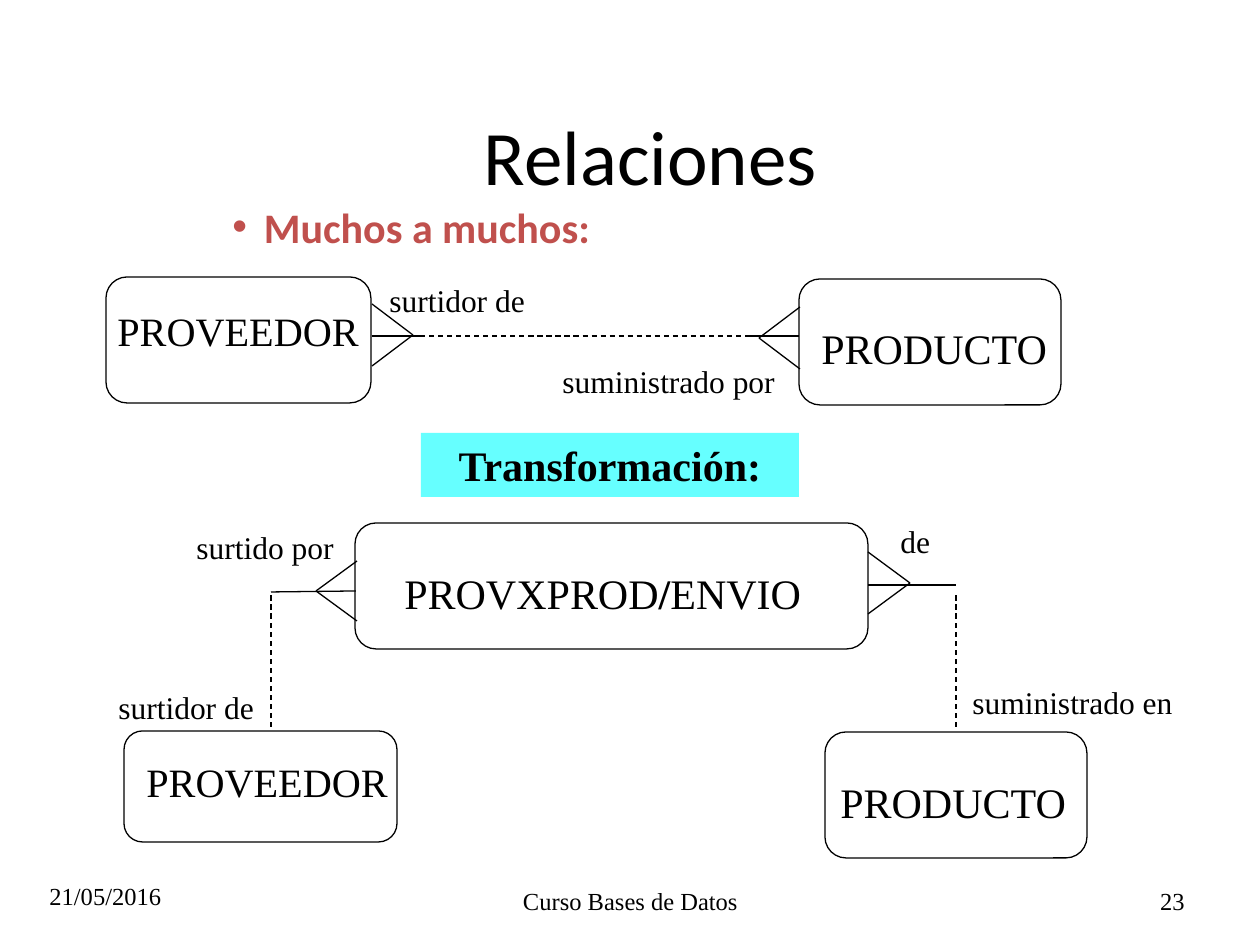
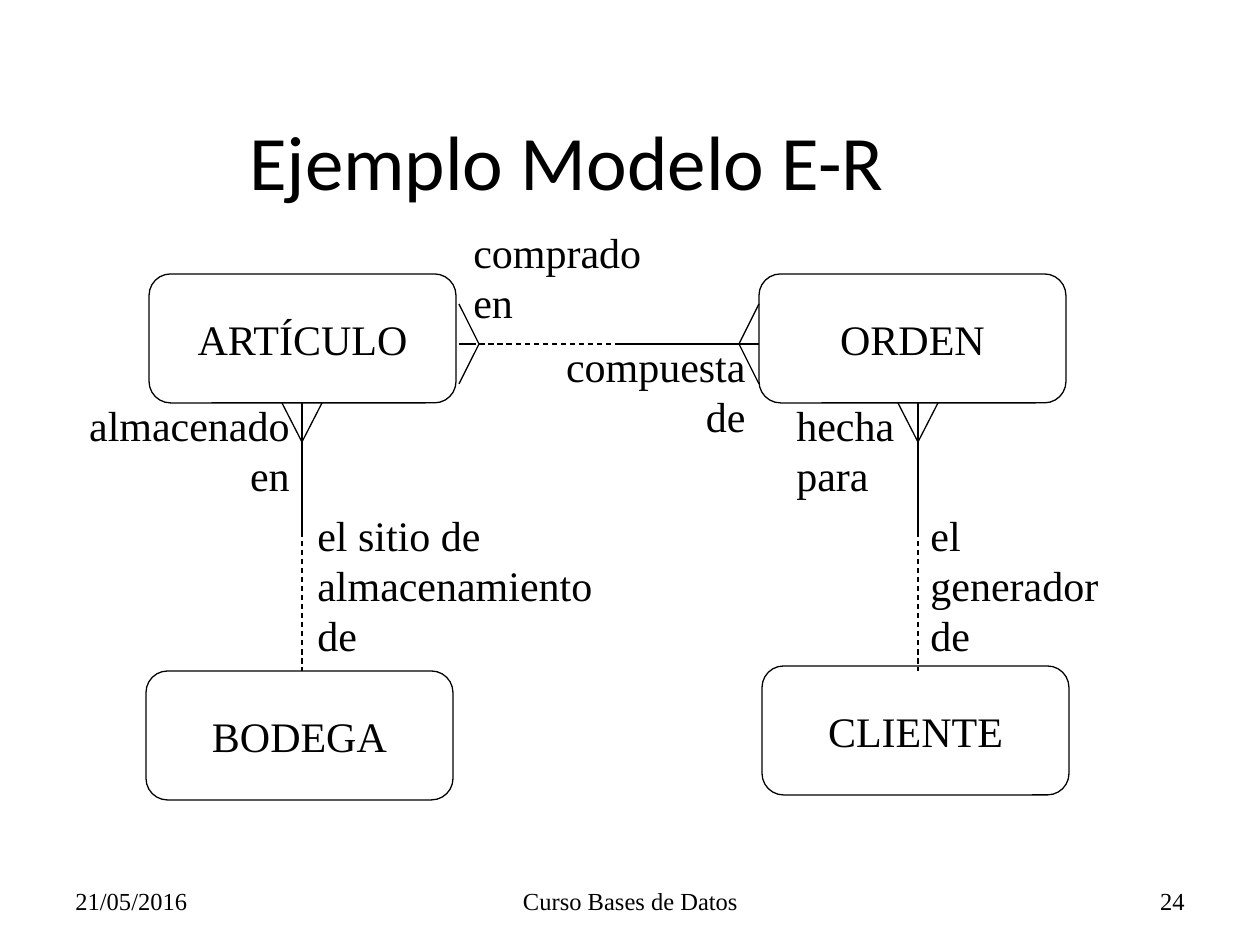
from dataclasses import dataclass
from lxml import etree
from pptx import Presentation, util as u
from pptx.dml import color as dml_color
from pptx.enum import dml, shapes, text as t
from pptx.oxml import ns

PIXEL = u.Inches(1) / 126


@dataclass(frozen=True)
class Theme:
    ink: str = "000000"
    accent: str = "C0504D"
    banner: str = "66FFFF"
    heading_font: str = "Calibri"
    body_font: str = "Times New Roman"
    title: float = 44
    large: float = 24
    tight: float = 23
    label: float = 18
    footer: float = 14
    line: float = 0.75
    corner: float = 0.167


THEME = Theme()
LEFT, CENTER, RIGHT = t.PP_ALIGN.LEFT, t.PP_ALIGN.CENTER, t.PP_ALIGN.RIGHT
TOP, MIDDLE = t.MSO_ANCHOR.TOP, t.MSO_ANCHOR.MIDDLE

# Content: boxes are (left, top, width, height), lines are (x1, y1, x2, y2).
# Crow's feet are (apex x, apex y, offset x, offset y, entity side).
DATE, COURSE = "21/05/2016", "Curso Bases de Datos"

RELATIONS = {
    "title": ("Relaciones", (115, 76, 1071, 157)),
    "date": (37, 871),
    "number": "23",
    "bullet": ("Muchos a muchos:", (94, 195, 1071, 220)),
    "banner": ("Transformación:", (421, 433, 378, 64)),
    "entities": [
        ("", (106, 277, 265, 126)),
        ("", (799, 279, 262, 126)),
        ("", (124, 731, 273, 111)),
        ("", (825, 732, 262, 126)),
        ("", (355, 523, 513, 126)),
    ],
    "labels": [
        ("PROVEEDOR", (105, 300, 267, 60), THEME.tight, LEFT, False),
        ("PRODUCTO", (809, 316, 252, 63), THEME.large, LEFT, False),
        ("PROVEEDOR", (134, 751, 267, 54), THEME.tight, LEFT, False),
        ("PRODUCTO", (828, 770, 252, 63), THEME.large, LEFT, False),
        ([("PROVXPROD", False), ("/", True), ("ENVIO", False)],
         (392, 561, 426, 64), THEME.large, LEFT, False),
        ("surtidor de", (377, 275, 161, 50), THEME.label, LEFT, False),
        ("suministrado por", (550, 356, 238, 50), THEME.label, LEFT, False),
        ("surtidor de", (106, 682, 161, 50), THEME.label, LEFT, False),
        ("suministrado en", (960, 677, 228, 50), THEME.label, LEFT, False),
        ("de", (888, 516, 55, 50), THEME.label, LEFT, False),
        ("surtido por", (184, 522, 193, 50), THEME.label, LEFT, True),
    ],
    "solid": [(372, 336, 422, 336), (748, 336, 799, 336),
              (868, 585, 956, 585), (271, 592, 356, 591)],
    "dashed": [(411, 336, 769, 336), (956, 727, 956, 592), (271, 727, 271, 592)],
    "feet": [(413, 335, -41, 31, "side"), (759, 338, 41, 31, "side"),
             (910, 583, -42, 31, "side"), (316, 591, 41, 30, "side")],
}

EXAMPLE = {
    "title": ("Ejemplo Modelo E-R", (0, 81, 1134, 157)),
    "date": (63, 876),
    "number": "24",
    "entities": [
        ("ARTÍCULO", (149, 274, 307, 129)),
        ("BODEGA", (146, 671, 307, 129)),
        ("ORDEN", (759, 274, 307, 129)),
        ("CLIENTE", (762, 666, 307, 129)),
    ],
    "labels": [
        ("almacenado en", (34, 393, 268, 113), THEME.large, RIGHT, True),
        ("el sitio de almacenamiento de", (305, 503, 328, 164), THEME.large, LEFT, True),
        ("comprado en", (461, 220, 228, 113), THEME.large, LEFT, True),
        ("compuesta de", (530, 334, 228, 113), THEME.large, RIGHT, True),
        ("hecha para", (784, 393, 125, 113), THEME.large, LEFT, True),
        ("el generador de", (918, 503, 198, 164), THEME.large, LEFT, True),
    ],
    "solid": [(302, 403, 302, 532), (620, 344, 759, 344),
              (918, 403, 918, 532), (459, 344, 476, 344)],
    "dashed": [(302, 532, 302, 671), (620, 344, 461, 344), (918, 532, 918, 671)],
    "feet": [(302, 442, 20, -39, "end"), (918, 442, 20, -39, "end"),
             (739, 344, 20, 40, "side"), (479, 344, -20, 40, "side")],
}


def px(value):
    return round(value * PIXEL)


def rgb(value):
    return dml_color.RGBColor.from_string(value)


def write(shape, content, size, align=LEFT, anchor=TOP, wrap=True, grow=False,
          name=THEME.body_font, color=THEME.ink, bold=False):
    frame = shape.text_frame
    settings = {
        "word_wrap": wrap,
        "vertical_anchor": anchor,
        "auto_size": t.MSO_AUTO_SIZE.SHAPE_TO_FIT_TEXT if grow else t.MSO_AUTO_SIZE.NONE,
    }
    for key, value in settings.items():
        setattr(frame, key, value)
    paragraph = frame.paragraphs[0]
    paragraph.alignment = align
    runs = [(content, bold)] if isinstance(content, str) else content
    for words, heavy in runs:
        run = paragraph.add_run()
        run.text = words
        for key, value in {"name": name, "size": u.Pt(size), "bold": heavy}.items():
            setattr(run.font, key, value)
        run.font.color.rgb = rgb(color)
    return paragraph


def add_text(slide, content, box, size, **style):
    shape = slide.shapes.add_textbox(*map(px, box))
    return write(shape, content, size, **style)


def add_line(slide, ends, dashed=False):
    line = slide.shapes.add_connector(shapes.MSO_CONNECTOR.STRAIGHT, *map(px, ends))
    line.line.width = u.Pt(THEME.line)
    line.line.color.rgb = rgb(THEME.ink)
    if dashed:
        line.line.dash_style = dml.MSO_LINE.DASH
    etree.SubElement(line._element.spPr, ns.qn("a:effectLst"))


def add_foot(slide, x, y, dx, dy, side):
    for sign in (-1, 1):
        toe = (x + dx, y + sign * dy) if side == "side" else (x + sign * dx, y + dy)
        add_line(slide, (x, y, *toe))


def add_entity(slide, name, box):
    shape = slide.shapes.add_shape(shapes.MSO_SHAPE.ROUNDED_RECTANGLE, *map(px, box))
    shape.shadow.inherit = False
    shape.adjustments[0] = THEME.corner
    shape.fill.background()
    shape.line.width = u.Pt(THEME.line)
    shape.line.color.rgb = rgb(THEME.ink)
    if name:
        write(shape, name, THEME.large, align=CENTER, anchor=MIDDLE, wrap=False)


def add_bullet(slide, content, box):
    paragraph = add_text(slide, content, box, THEME.large, name=THEME.heading_font,
                         color=THEME.accent, bold=True)
    properties = paragraph._p.get_or_add_pPr()
    properties.set("marL", str(u.Inches(1.25)))
    properties.set("indent", str(u.Inches(-0.25)))
    etree.SubElement(properties, ns.qn("a:buFont")).set("typeface", "Arial")
    etree.SubElement(properties, ns.qn("a:buChar")).set("char", "•")


def add_banner(slide, content, box):
    shape = slide.shapes.add_shape(shapes.MSO_SHAPE.RECTANGLE, *map(px, box))
    shape.shadow.inherit = False
    shape.fill.solid()
    shape.fill.fore_color.rgb = rgb(THEME.banner)
    shape.line.fill.background()
    write(shape, content, THEME.large, align=CENTER, grow=True, bold=True)


def build(presentation, content):
    slide = presentation.slides.add_slide(presentation.slide_layouts[6])
    # Footer and title
    footers = [
        (DATE, (*content["date"], 294, 50), LEFT),
        (COURSE, (431, 876, 399, 50), CENTER),
        (content["number"], (903, 876, 294, 50), RIGHT),
    ]
    for words, box, align in footers:
        add_text(slide, words, box, THEME.footer, align=align, anchor=MIDDLE)
    add_text(slide, *content["title"], THEME.title, align=CENTER, anchor=MIDDLE,
             name=THEME.heading_font)
    # Heading bullet and banner
    if "bullet" in content:
        add_bullet(slide, *content["bullet"])
    if "banner" in content:
        add_banner(slide, *content["banner"])
    # Entities and their labels
    for entity in content["entities"]:
        add_entity(slide, *entity)
    for words, box, size, align, wrap in content["labels"]:
        add_text(slide, words, box, size, align=align, wrap=wrap, grow=True)
    # Relationship lines and crow's feet
    for kind in ("solid", "dashed"):
        for ends in content[kind]:
            add_line(slide, ends, kind == "dashed")
    for foot in content["feet"]:
        add_foot(slide, *foot)


presentation = Presentation()
presentation.slide_width, presentation.slide_height = px(1260), px(945)
for slide_content in (RELATIONS, EXAMPLE):
    build(presentation, slide_content)
presentation.save("out.pptx")
